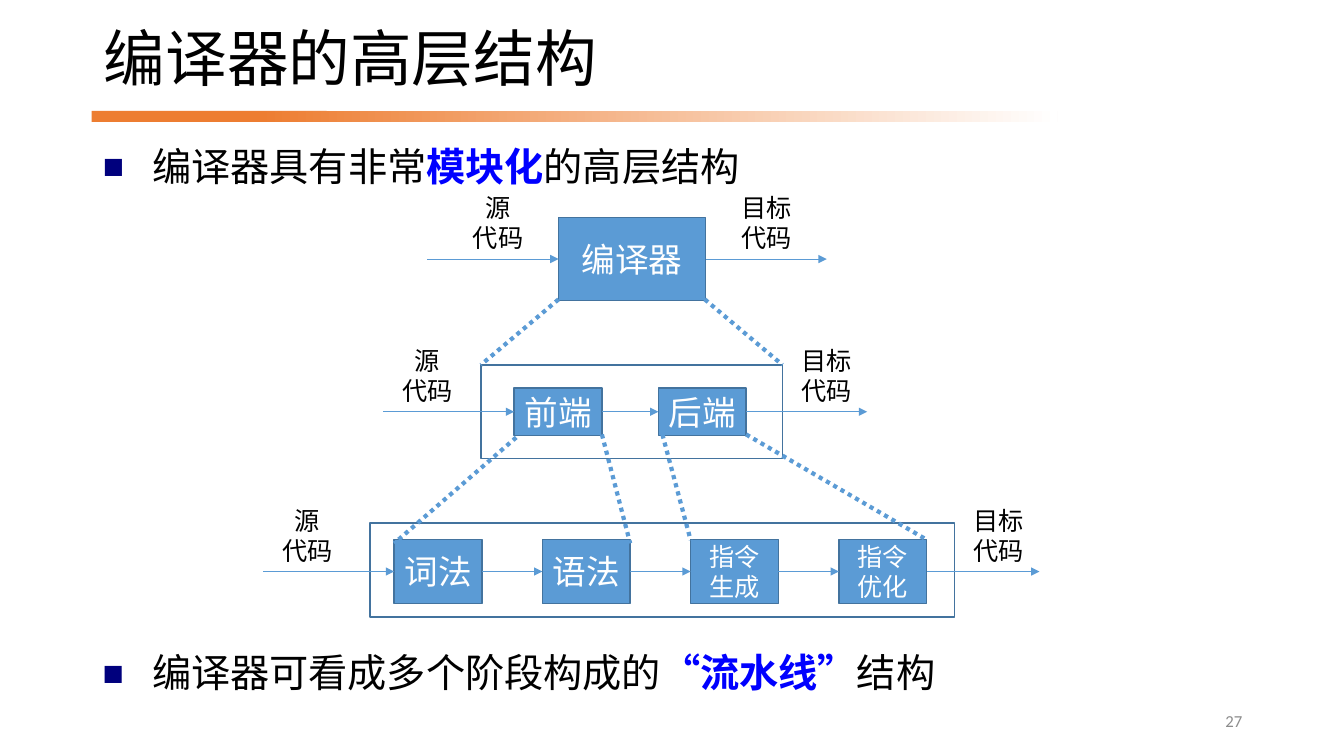
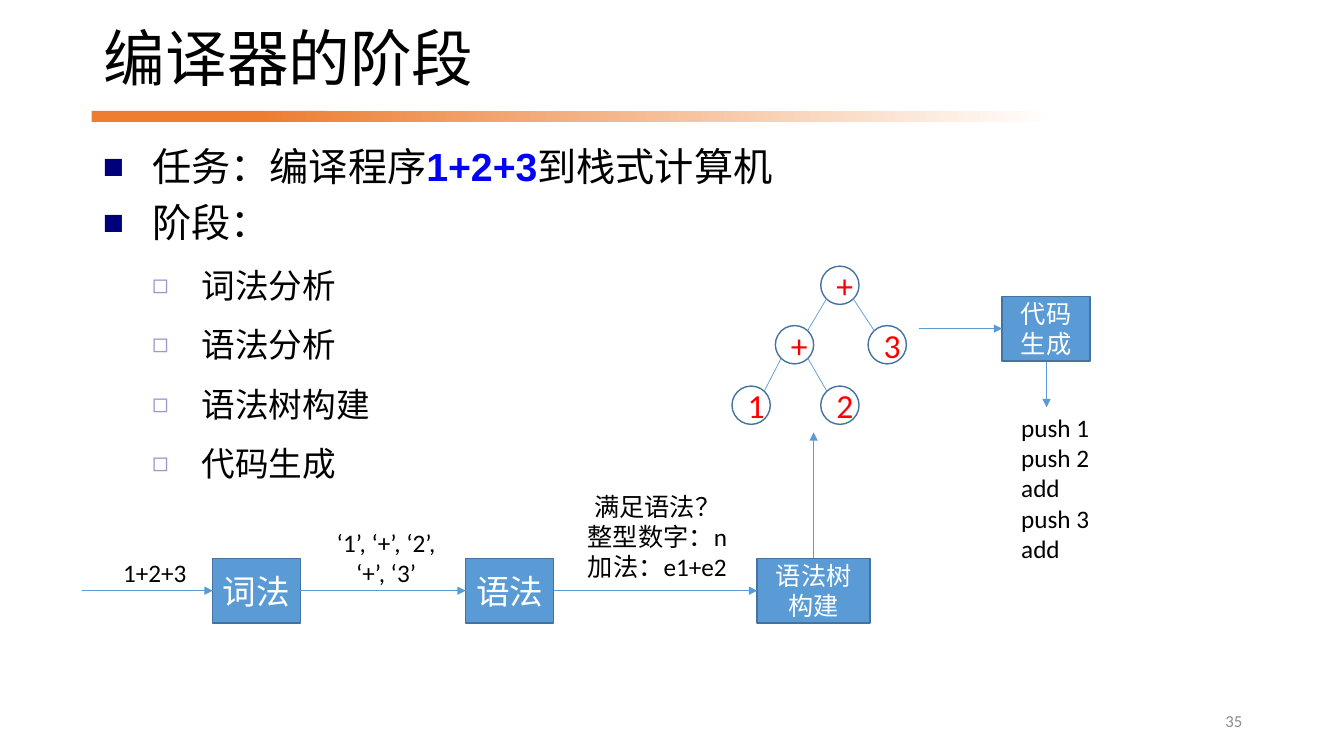
from dataclasses import dataclass
from lxml import etree
from pptx import Presentation
from pptx.dml.color import RGBColor
from pptx.enum import dml, shapes as kinds, text
from pptx.oxml import ns

PX = 9144
FORM = kinds.MSO_SHAPE
ALIGN = text.PP_ALIGN


@dataclass(frozen=True)
class Theme:
    black: str = "000000"
    white: str = "FFFFFF"
    blue: str = "5B9BD5"
    edge: str = "43739E"
    band: str = "ED7D31"
    strong: str = "0000FF"
    red: str = "FF0000"
    grey: str = "8C8C8C"
    head: str = "Arial"
    body: str = "Calibri"
    title: int = 44
    item: int = 28
    large: int = 24
    small: int = 18
    page: int = 12


T = Theme()
LEVELS = (
    dict(size=T.item, mark="■", tint="00007D", scale=90, space=0.9, before=10),
    dict(size=T.large, mark="◻", tint="9999CC", scale=80, space=1.3, before=5),
)


def rgb(code):
    return RGBColor.from_string(code)


def area(*px):
    return [round(v * PX) for v in px]


def place(shape, spot):
    shape.left, shape.top, shape.width, shape.height = area(*spot)


def style(font, size, color=T.black, name=T.body):
    font.size = size * 12700
    font.name = name
    font.color.rgb = rgb(color)


def sub(parent, tag, **attrs):
    return etree.SubElement(parent, ns.qn(tag), attrs)


def write(frame, words, size, color, align):
    frame.word_wrap = True
    frame.text = words
    for para in frame.paragraphs:
        para.alignment = align
        style(para.font, size, color)


def box(shapes, spot, words="", size=T.large, fill=T.blue, color=T.white,
        form=FORM.RECTANGLE):
    shape = shapes.add_shape(form, *area(*spot))
    shape.shadow.inherit = False
    shape.fill.solid()
    shape.fill.fore_color.rgb = rgb(fill)
    shape.line.color.rgb = rgb(T.edge)
    shape.line.width = 12700
    if words:
        write(shape.text_frame, words, size, color, ALIGN.CENTER)
        shape.text_frame.vertical_anchor = text.MSO_ANCHOR.MIDDLE
    return shape


def label(shapes, spot, words, align=ALIGN.CENTER, size=T.small, color=T.black):
    note = shapes.add_textbox(*area(*spot))
    write(note.text_frame, words, size, color, align)
    return note


def wire(shapes, start, end, tip=True, dots=False):
    link = shapes.add_connector(
        kinds.MSO_CONNECTOR.STRAIGHT, *area(*start, *end))
    link.line.color.rgb = rgb(T.blue)
    link.line.width = 38100 if dots else 6350
    if dots:
        link.line.dash_style = dml.MSO_LINE.ROUND_DOT
    props = link.element.spPr
    if tip:
        sub(props.find(ns.qn("a:ln")), "a:tailEnd", type="triangle")
    sub(props, "a:effectLst")
    return link


def port(shape, right):
    across = shape.width if right else 0
    return (shape.left + across) / PX, (shape.top + shape.height / 2) / PX


def join(shapes, left, right):
    link = wire(shapes, port(left, True), port(right, False))
    link.begin_connect(left, 3)
    link.end_connect(right, 1)


def bullets(frame, items):
    frame.word_wrap = True
    frame.auto_size = text.MSO_AUTO_SIZE.NONE
    for pos, (level, words) in enumerate(items):
        para = frame.add_paragraph() if pos else frame.paragraphs[0]
        look = LEVELS[level]
        para.level = level
        para.line_spacing = look["space"]
        para.space_before = look["before"] * 12700
        props = para._p.pPr
        props.set("marL", str(49 * PX * (level + 1)))
        props.set("indent", str(-49 * PX))
        sub(sub(props, "a:buClr"), "a:srgbClr", val=look["tint"])
        sub(props, "a:buSzPct", val=str(look["scale"] * 1000))
        sub(props, "a:buFont", typeface=T.head)
        sub(props, "a:buChar", char=look["mark"])
        style(para.font, look["size"], name=T.head)
        for part, piece in enumerate(words.split("*")):
            run = para.add_run()
            run.text = piece
            if part % 2:
                run.font.bold = True
                run.font.color.rgb = rgb(T.strong)


def bands(layout, slide):
    for spot in ((91, 110, 233, 11), (257, 110, 792, 11)):
        bar = box(slide.shapes, spot, fill=T.band)
        bar.line.fill.background()
        layout.shapes.element.append(bar.element)
    bar.fill.gradient()
    bar.fill.gradient_angle = 0
    for stop, color, pos in zip(bar.fill.gradient_stops, (T.band, T.white), (0, 1)):
        stop.color.rgb = rgb(color)
        stop.position = pos


def page(deck, title, number, items, height):
    slide = deck.slides.add_slide(deck.slide_layouts[1])
    head, body = slide.placeholders
    place(head, (93, 17, 1114, 89))
    head.text_frame.text = title
    head.text_frame.vertical_anchor = text.MSO_ANCHOR.MIDDLE
    para = head.text_frame.paragraphs[0]
    para.alignment = ALIGN.LEFT
    para.line_spacing = 0.9
    style(para.font, T.title, name=T.head)
    place(body, (92, 141, 1150, height))
    bullets(body.text_frame, items)
    foot = label(slide.shapes, (942, 695, 300, 40), number, ALIGN.RIGHT,
                 T.page, T.grey)
    foot.text_frame.vertical_anchor = text.MSO_ANCHOR.MIDDLE
    return slide


def stage(slide, names, first, step, size, notes, out, frame=None, dots=()):
    shapes = slide.shapes.add_group_shape().shapes
    if frame:
        box(shapes, frame, fill=T.white)
    left, top, wide, high = first
    steps = [
        box(shapes, (left + step * pos, top, wide, high), name,
            T.large if len(name) < 4 else T.small)
        for pos, name in enumerate(names)
    ]
    for start, end in dots:
        wire(shapes, start, end, tip=False, dots=True)
    for pair in zip(steps, steps[1:]):
        join(shapes, *pair)
    mid = top + high / 2
    wire(shapes, (left - 130, mid), port(steps[0], False))
    wire(shapes, port(steps[-1], True), (out, mid))
    for spot, words in zip(notes, ("源\n代码", "目标代码")):
        label(shapes, (spot - 1, mid - 71, 72, 71), words)


def layers(deck):
    slide = page(deck, "编译器的高层结构", "27",
                 [(0, "编译器具有非常*模块化*的高层结构")], 73)
    stage(slide, ["编译器"], (554, 216, 146, 82), 0, T.large, (459, 725), 820)
    stage(slide, ["前端", "后端"], (510, 385, 87, 47), 143, T.large,
          (389, 785), 860, (477, 362, 299, 93),
          [((554, 297), (477, 362)), ((699, 297), (776, 362))])
    stage(slide, ["词法", "语法", "指令生成", "指令优化"], (391, 535, 87, 64), 147,
          T.small, (270, 955), 1031, (367, 519, 580, 93),
          [((512, 434), (391, 539)), ((597, 431), (625, 539)),
           ((657, 431), (685, 536)), ((740, 431), (920, 536))])
    note = slide.shapes.add_textbox(*area(92, 644, 1150, 66))
    bullets(note.text_frame, [(0, "编译器可看成多个阶段构成的*“流水线”*结构")])
    return slide


def tree(shapes):
    nodes = [("+", 814, 264), ("+", 769, 323), ("3", 861, 323),
             ("1", 726, 383), ("2", 814, 383)]
    for sign, left, top in nodes:
        box(shapes, (left, top, 38, 38), sign, T.large, T.white, T.red, FORM.OVAL)
    for child in range(1, len(nodes)):
        _, left, top = nodes[(child - 1) // 2]
        _, under, low = nodes[child]
        start, end = (6, 32) if under < left else (32, 6)
        wire(shapes, (left + start, top + 32), (under + end, low + 5), tip=False)


def phases(deck):
    names = ["词法分析", "语法分析", "语法树构建", "代码生成"]
    slide = page(deck, "编译器的阶段", "35",
                 [(0, "任务：编译程序*1+2+3*到栈式计算机"), (0, "阶段：")]
                 + [(1, name) for name in names], 371)
    shapes = slide.shapes
    lex = box(shapes, (211, 554, 87, 64), "词法")
    syntax = box(shapes, (462, 554, 87, 64), "语法")
    build = box(shapes, (751, 554, 112, 64), "语法树构建", T.small)
    code = box(shapes, (994, 294, 87, 64), "代码生成", T.small)
    join(shapes, lex, syntax)
    join(shapes, syntax, build)
    for start, end in (((81, 586), port(lex, False)), ((807, 554), (807, 429)),
                       ((912, 326), port(code, False)), ((1038, 359), (1038, 404))):
        wire(shapes, start, end)
    label(shapes, (93, 548, 121, 40), "1+2+3")
    label(shapes, (320, 518, 126, 71), "‘1’, ‘+’, ‘2’, ‘+’, ‘3’")
    label(shapes, (564, 482, 176, 101), "满足语法？\n整型数字：n\n加法：e1+e2")
    label(shapes, (1003, 404, 128, 162), "push 1\npush 2\nadd\npush 3\nadd",
          ALIGN.LEFT)
    tree(shapes)


def main():
    deck = Presentation()
    deck.slide_width, deck.slide_height = area(1333, 750)
    bands(deck.slide_layouts[1], layers(deck))
    phases(deck)
    deck.save("out.pptx")


if __name__ == "__main__":
    main()
